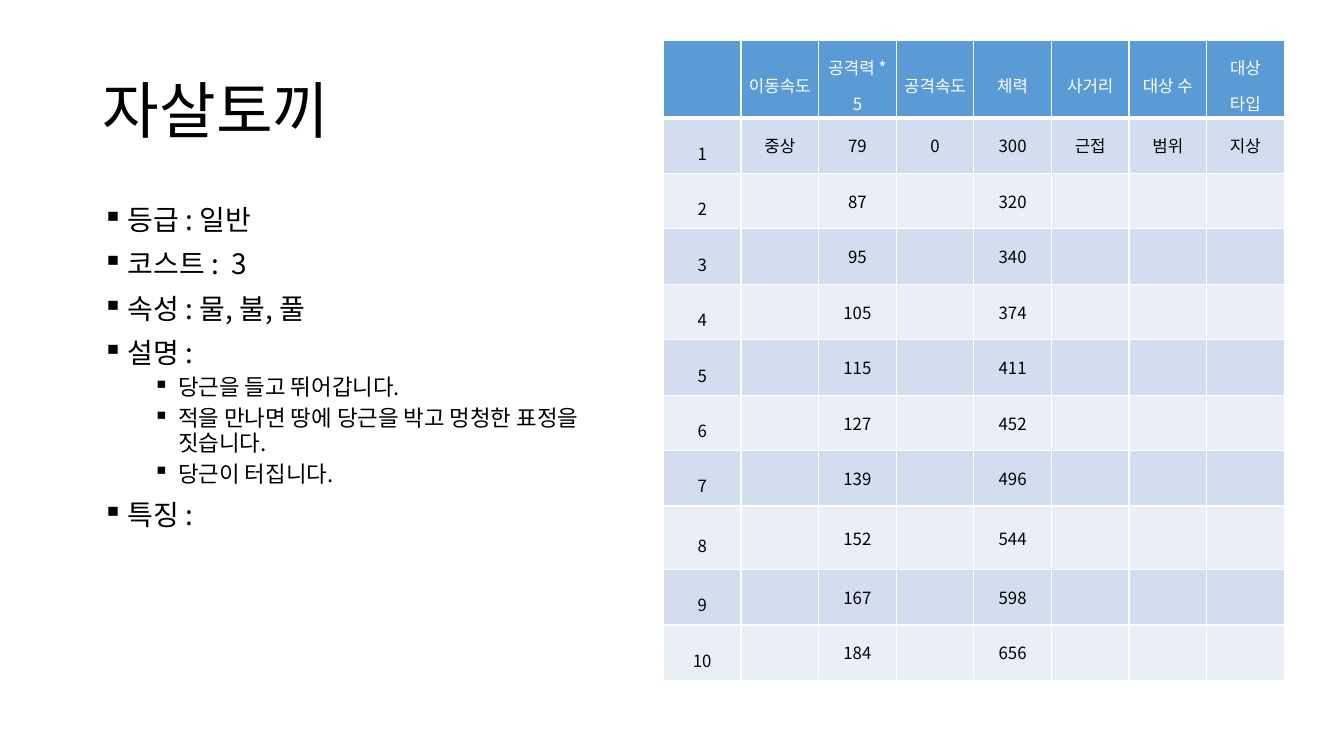
from lxml import etree
from pptx import Presentation
from pptx.dml.color import RGBColor
from pptx.enum.text import MSO_ANCHOR, PP_ALIGN
from pptx.oxml.ns import qn
from pptx.util import Inches, Pt

MID, TOP = MSO_ANCHOR.MIDDLE, MSO_ANCHOR.TOP
MARGINS = ("margin_left", "margin_top", "margin_right", "margin_bottom")
FONT = "Noto Sans CJK KR"
BLACK, WHITE, BLUE = "000000", "FFFFFF", "5B9BD5"
BANDS = ("EAEFF7", "D2DEEF")

TITLE = "자살토끼"
NOTES = [
    (0, "등급 : 일반"),
    (0, "코스트 :  3"),
    (0, "속성 : 물, 불, 풀"),
    (0, "설명 :"),
    (1, "당근을 들고 뛰어갑니다."),
    (1, "적을 만나면 땅에 당근을 박고 멍청한 표정을 짓습니다."),
    (1, "당근이 터집니다."),
    (0, "특징 :"),
]
LEVELS = [
    {"size": 20, "before": 10, "indent": 0.25},
    {"size": 16, "before": 5, "indent": 0.75},
]
HEAD = ["", "이동속도", "공격력 * 5", "공격속도", "체력", "사거리", "대상 수", "대상 타입"]
FIRST = {1: "중상", 3: "0", 5: "근접", 6: "범위", 7: "지상"}
POWER = [79, 87, 95, 105, 115, 127, 139, 152, 167, 184]
HEALTH = [300, 320, 340, 374, 411, 452, 496, 544, 598, 656]

WIDE, HIGH = 13.33, 7.5
LEFT, EDGE = 0.92, 0.4
COL, ROW = 0.77, 0.55
TALL = {0: 0.77, 8: 0.63}


def color(code):
    return RGBColor.from_string(code)


def style(item, values):
    for name, value in values.items():
        setattr(item, name, value)


def write(para, text, size, code, **values):
    style(para, values)
    run = para.add_run()
    run.text = text
    style(run.font, {"size": Pt(size), "name": FONT, "bold": False})
    run.font.color.rgb = color(code)
    east = etree.SubElement(run.font._element, qn("a:ea"))
    east.set("typeface", FONT)


def add_box(slide, place, anchor):
    frame = slide.shapes.add_textbox(*map(Inches, place)).text_frame
    style(frame, {"word_wrap": True, "vertical_anchor": anchor})
    return frame


def add_notes(slide):
    frame = add_box(slide, (LEFT, 2, 5.67, 4.76), TOP)
    for num, (level, text) in enumerate(NOTES):
        para = frame.add_paragraph() if num else frame.paragraphs[0]
        look = LEVELS[level]
        write(para, text, look["size"], BLACK, level=level,
              line_spacing=0.9, space_before=Pt(look["before"]))
        props = para._p.get_or_add_pPr()
        props.set("marL", str(Inches(look["indent"])))
        props.set("indent", str(-Inches(0.25)))
        etree.SubElement(props, qn("a:buChar")).set("char", "▪")


def add_edges(cell, row):
    props = cell._tc.get_or_add_tcPr()
    for side in "LRTB":
        thick = (row, side) in ((0, "B"), (1, "T"))
        line = etree.SubElement(props, qn("a:ln" + side))
        line.set("w", str(Pt(3 if thick else 1)))
        fill = etree.SubElement(line, qn("a:solidFill"))
        etree.SubElement(fill, qn("a:srgbClr")).set("val", WHITE)


def add_stats(slide):
    rows = [HEAD]
    for num, (power, health) in enumerate(zip(POWER, HEALTH), 1):
        line = [""] * len(HEAD)
        line[0], line[2], line[4] = str(num), str(power), str(health)
        rows.append(line)
    for col, text in FIRST.items():
        rows[1][col] = text
    sizes = [TALL.get(row, ROW) for row in range(len(rows))]
    place = (6.58, EDGE, COL * len(HEAD), sum(sizes))
    table = slide.shapes.add_table(
        len(rows), len(HEAD), *map(Inches, place)).table
    for col in table.columns:
        col.width = Inches(COL)
    for row, line in enumerate(rows):
        table.rows[row].height = Inches(sizes[row])
        for col, text in enumerate(line):
            cell = table.cell(row, col)
            add_edges(cell, row)
            cell.fill.solid()
            cell.fill.fore_color.rgb = color(BANDS[row % 2] if row else BLUE)
            if not text:
                continue
            tight = row == 0 or col == 0
            pads = (0.06, 0.02) if tight else (0.09, 0.05)
            style(cell, dict(zip(MARGINS, map(Inches, pads * 2))))
            cell.vertical_anchor = MID
            space = 1.5 if row == 0 else 1.6 if col == 0 else None
            write(cell.text_frame.paragraphs[0], text, 12,
                  BLACK if row else WHITE,
                  alignment=PP_ALIGN.CENTER, line_spacing=space)


def main():
    deck = Presentation()
    style(deck, {"slide_width": Inches(WIDE), "slide_height": Inches(HIGH)})
    slide = deck.slides.add_slide(deck.slide_layouts[6])
    title = add_box(slide, (LEFT, EDGE, 11.5, 1.45), MID)
    write(title.paragraphs[0], TITLE, 44, BLACK, line_spacing=0.9)
    add_notes(slide)
    add_stats(slide)
    deck.save("out.pptx")


if __name__ == "__main__":
    main()
